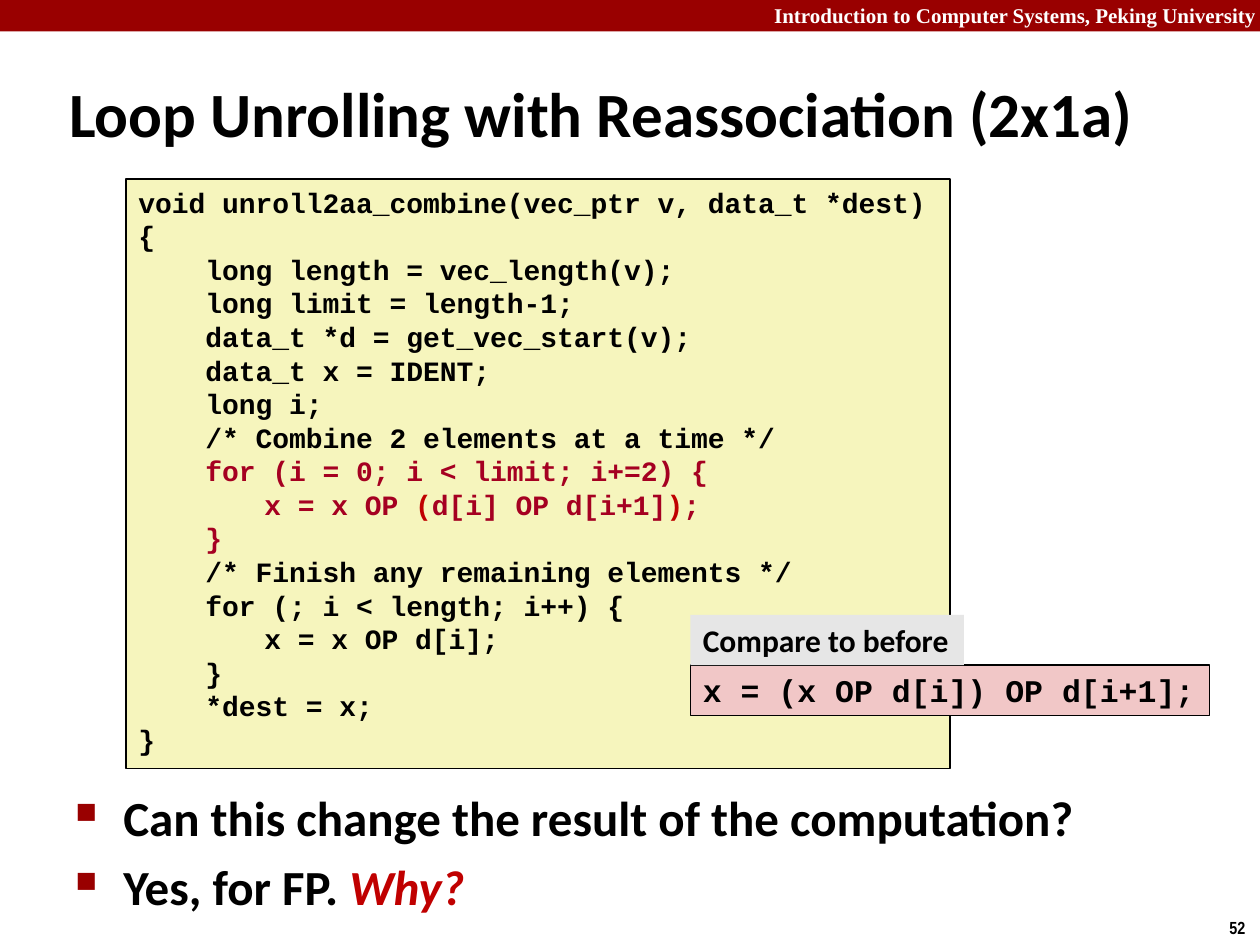
"""Build the slide on loop unrolling with reassociation."""
from dataclasses import dataclass
from typing import NamedTuple

from lxml.etree import SubElement
from pptx import Presentation
from pptx.dml.color import RGBColor as Rgb
from pptx.enum.shapes import MSO_SHAPE as Form
from pptx.enum.text import MSO_ANCHOR as Anchor, MSO_AUTO_SIZE as Fit, PP_ALIGN as Align
from pptx.oxml.ns import qn
from pptx.util import Inches, Pt


@dataclass(frozen=True)
class Theme:
    black: str = "000000"
    white: str = "FFFFFF"
    band: str = "990000"
    code: str = "A50021"
    alert: str = "C00000"
    cream: str = "F6F5BD"
    pink: str = "F1C7C7"
    gray: str = "E6E6E6"
    sans: str = "Calibri"
    mono: str = "Courier New"
    serif: str = "Times New Roman"
    slim: str = "Arial Narrow"
    title: int = 36
    body: int = 28
    note: int = 18
    list: int = 16
    head: int = 12
    page: int = 10


class Run(NamedTuple):
    text: str
    color: str = Theme.black
    slant: bool = False


class Box(NamedTuple):
    col: float
    row: float
    cols: float
    rows: float


class Panel(NamedTuple):
    box: Box
    fill: str
    edge: bool
    lines: list
    font: str
    size: int
    tabs: tuple = ()


T = Theme()
CELL = 0.5
COLS, ROWS = 20, 15
STOPS = (1, 2.5)

CODE = [
    "void unroll2aa_combine(vec_ptr v, data_t *dest)",
    "{",
    "    long length = vec_length(v);",
    "    long limit = length-1;",
    "    data_t *d = get_vec_start(v);",
    "    data_t x = IDENT;",
    "    long i;",
    "    /* Combine 2 elements at a time */",
    [Run("    for (i = 0; i < limit; i+=2) {", T.code)],
    [Run("\tx = x OP ", T.code), Run("(", T.alert), Run("d[i] OP d[i+1]", T.code),
     Run(")", T.alert), Run(";", T.code)],
    [Run("    }", T.code)],
    "    /* Finish any remaining elements */",
    "    for (; i < length; i++) {",
    "\tx = x OP d[i];",
    "    }",
    "    *dest = x;",
    "}",
]
POINTS = [
    "Can this change the result of the computation?",
    [Run("Yes, for FP. "), Run("Why?", T.alert, True)],
]
PANELS = [
    Panel(Box(2, 2.84, 13.08, 9.36), T.cream, True, CODE, T.mono, T.list, STOPS),
    Panel(Box(10.96, 10.56, 8.24, 0.8), T.pink, True,
          ["x = (x OP d[i]) OP d[i+1];"], T.mono, T.note, STOPS),
    Panel(Box(10.96, 9.76, 4.34, 0.8), T.gray, False, ["Compare to before"], T.sans, T.note),
]


def place(box: Box) -> list:
    """Turn grid units into slide lengths."""
    return [Inches(unit * CELL) for unit in box]


def add_tabs(para, stops: tuple) -> None:
    """Give a paragraph left tab stops."""
    tabs = SubElement(para._p.get_or_add_pPr(), qn("a:tabLst"))
    for stop in stops:
        SubElement(tabs, qn("a:tab"), pos=str(Inches(stop)), algn="l")


def add_mark(para) -> None:
    """Give a paragraph a square bullet and a hanging indent."""
    props = para._p.get_or_add_pPr()
    inset = Inches(0.38)
    props.set("marL", str(inset))
    props.set("indent", str(-inset))
    SubElement(SubElement(props, qn("a:buClr")), qn("a:srgbClr"), val=T.band)
    SubElement(props, qn("a:buSzPct"), val="60000")
    SubElement(props, qn("a:buChar"), char="■")


def write(shape, lines: list, *, font: str, size: int, color: str = T.black,
          align=Align.LEFT, anchor=Anchor.TOP, wrap: bool = True, grow: bool = False,
          tabs: tuple = (), marks: bool = False, gap: float = 0) -> None:
    """Write formatted lines into a shape."""
    frame = shape.text_frame
    frame.word_wrap = wrap
    frame.auto_size = Fit.SHAPE_TO_FIT_TEXT if grow else Fit.NONE
    frame.vertical_anchor = anchor
    for rank, line in enumerate(lines):
        para = frame.add_paragraph() if rank else frame.paragraphs[0]
        if marks:
            add_mark(para)
        if tabs:
            add_tabs(para, tabs)
        para.alignment = align
        if rank and gap:
            para.space_before = Pt(gap)
        for part in [Run(line, color)] if isinstance(line, str) else line:
            run = para.add_run()
            run.text = part.text
            face = run.font
            face.name, face.size, face.bold = font, Pt(size), True
            face.color.rgb = Rgb.from_string(part.color)
            if part.slant:
                face.italic = True


def add_text(slide, box: Box, lines: list, **style) -> None:
    """Add a text box."""
    write(slide.shapes.add_textbox(*place(box)), lines, **style)


def add_rect(slide, box: Box, fill: str, edge: bool = False):
    """Add a flat rectangle with an optional thin edge."""
    rect = slide.shapes.add_shape(Form.RECTANGLE, *place(box))
    rect.shadow.inherit = False
    rect.fill.solid()
    rect.fill.fore_color.rgb = Rgb.from_string(fill)
    if edge:
        rect.line.color.rgb = Rgb.from_string(T.black)
        rect.line.width = Pt(1)
    else:
        rect.line.fill.background()
    return rect


def add_panel(slide, panel: Panel) -> None:
    """Add a filled rectangle with text."""
    rect = add_rect(slide, panel.box, panel.fill, panel.edge)
    write(rect, panel.lines, font=panel.font, size=panel.size, tabs=panel.tabs,
          wrap=False, grow=True)


def main() -> None:
    """Build and save the slide."""
    deck = Presentation()
    deck.slide_width, deck.slide_height = Inches(COLS * CELL), Inches(ROWS * CELL)
    slide = deck.slides.add_slide(deck.slide_layouts[6])
    add_rect(slide, Box(0, 0, COLS, 0.5), T.band)
    add_text(slide, Box(12, -0.06, 8.14, 0.6),
             ["Introduction to Computer Systems, Peking University"],
             font=T.serif, size=T.head, color=T.white, align=Align.RIGHT, grow=True)
    add_text(slide, Box(19.32, 14.46, 0.68, 0.54), ["52"],
             font=T.slim, size=T.page, wrap=False, grow=True)
    add_text(slide, Box(0.9, 0.96, 17.6, 1.66), ["Loop Unrolling with Reassociation (2x1a)"],
             font=T.sans, size=T.title, anchor=Anchor.MIDDLE)
    add_text(slide, Box(1, 12.4, 17.36, 1.26), POINTS,
             font=T.sans, size=T.body, marks=True, gap=T.body * 0.2)
    for panel in PANELS:
        add_panel(slide, panel)
    deck.save("out.pptx")


if __name__ == "__main__":
    main()
